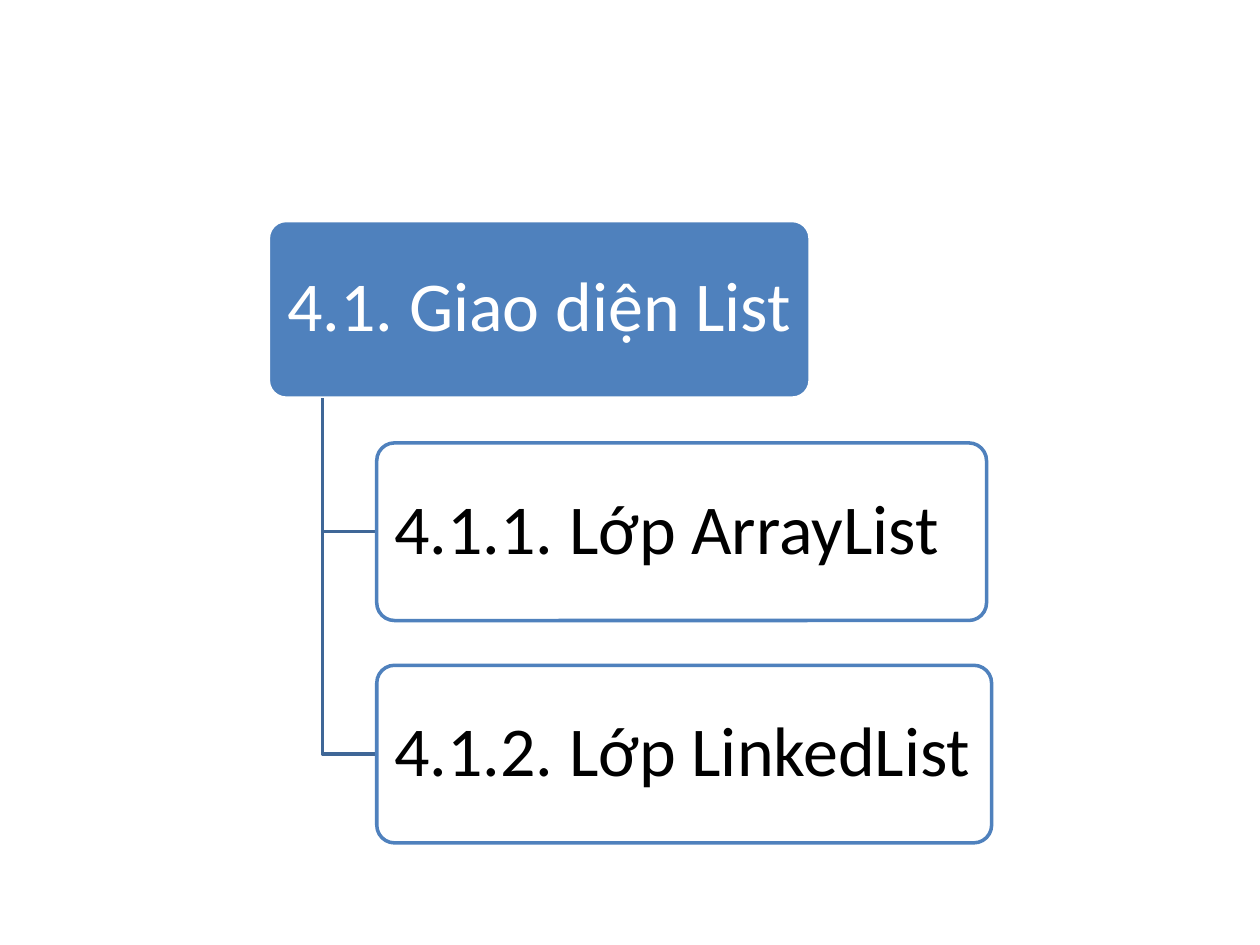
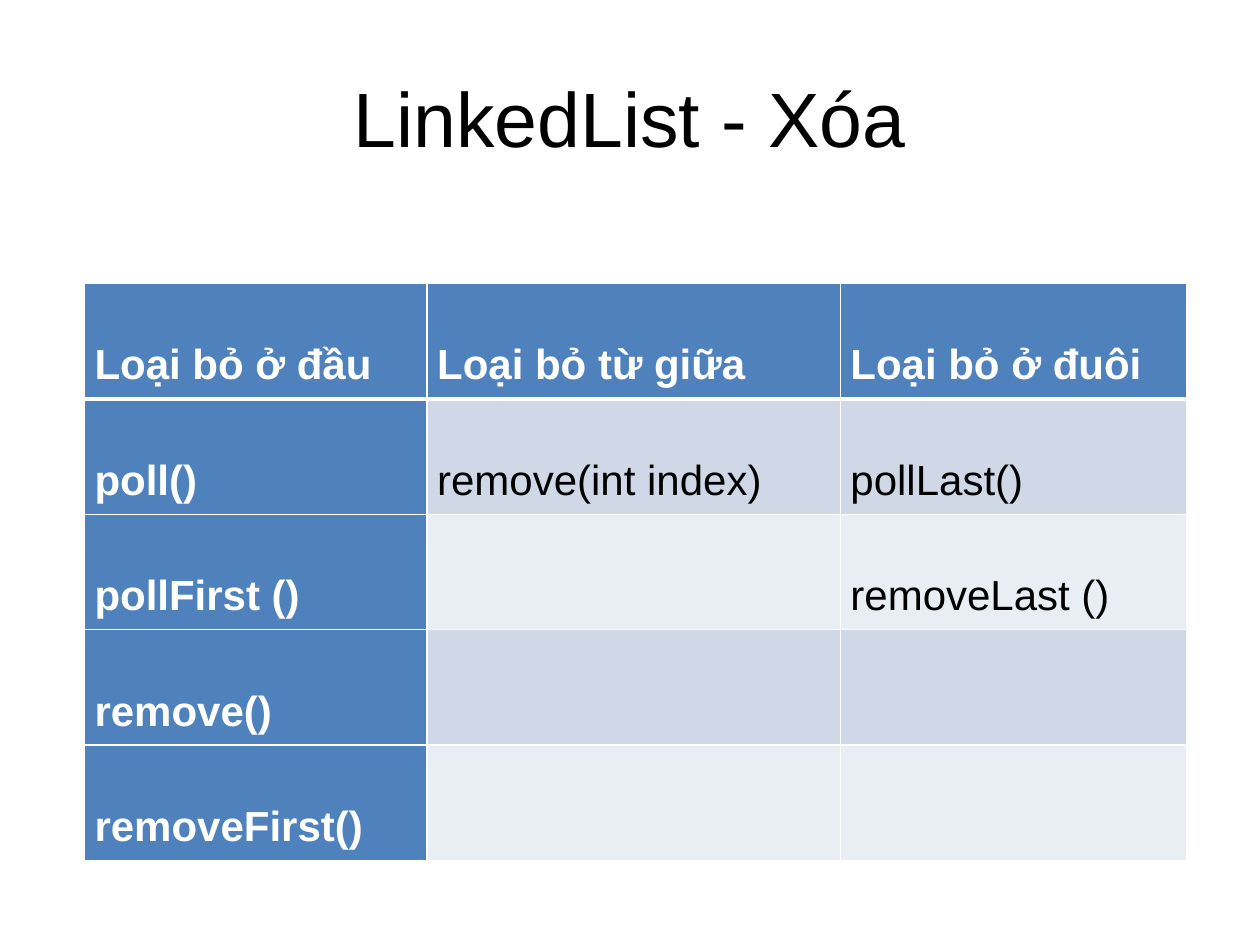
from lxml.etree import SubElement
from pptx import Presentation
from pptx.dml.color import RGBColor
from pptx.enum.shapes import MSO_SHAPE
from pptx.enum.text import MSO_ANCHOR, PP_ALIGN
from pptx.oxml.ns import qn
from pptx.util import Inches, Pt

BLUE = RGBColor(0x4F, 0x81, 0xBD)
DARK_BLUE = RGBColor(0x3F, 0x67, 0x97)
BAND_DARK = RGBColor(0xD0, 0xD8, 0xE8)
BAND_LIGHT = RGBColor(0xE9, 0xED, 0xF4)
WHITE = RGBColor(0xFF, 0xFF, 0xFF)
BLACK = RGBColor(0x00, 0x00, 0x00)


def style_paragraph(paragraph, font_name, size, color, bold=False):
    paragraph.font.name = font_name
    paragraph.font.size = Pt(size)
    paragraph.font.color.rgb = color
    paragraph.font.bold = bold


def add_cell_border(cell, side, width):
    """Draw a white border on one side: L, R, T or B."""
    line = SubElement(cell._tc.get_or_add_tcPr(), qn(f"a:ln{side}"), w=str(Pt(width)))
    fill = SubElement(line, qn("a:solidFill"))
    SubElement(fill, qn("a:srgbClr"), val=str(WHITE))


presentation = Presentation()
presentation.slide_width = Inches(10)
presentation.slide_height = Inches(7.5)
blank_layout = presentation.slide_layouts[6]

# Slide 1: section outline
slide = presentation.slides.add_slide(blank_layout)
BOX_TOP, BOX_HEIGHT, BOX_STEP = 1.75, 1.41, 1.765
TRUNK_X, CHILD_LEFT = 2.56, 2.99
outline = [
    ("4.1. Giao diện List", 2.13, 4.3, BLUE, WHITE, WHITE, PP_ALIGN.CENTER),
    ("4.1.1. Lớp ArrayList", CHILD_LEFT, 4.84, WHITE, BLUE, BLACK, PP_ALIGN.LEFT),
    ("4.1.2. Lớp LinkedList", CHILD_LEFT, 4.88, WHITE, BLUE, BLACK, PP_ALIGN.LEFT),
]
for level, (text, left, width, fill, line, color, alignment) in enumerate(outline):
    top = BOX_TOP + level * BOX_STEP
    if level > 0:
        middle = top + BOX_HEIGHT / 2
        builder = slide.shapes.build_freeform(
            Inches(TRUNK_X), Inches(BOX_TOP + BOX_HEIGHT))
        builder.add_line_segments(
            [(Inches(TRUNK_X), Inches(middle)), (Inches(CHILD_LEFT), Inches(middle))],
            close=False)
        elbow = builder.convert_to_shape()
        elbow.shadow.inherit = False
        elbow.fill.background()
        elbow.line.color.rgb = DARK_BLUE
        elbow.line.width = Pt(2)

    box = slide.shapes.add_shape(
        MSO_SHAPE.ROUNDED_RECTANGLE,
        Inches(left), Inches(top), Inches(width), Inches(BOX_HEIGHT))
    box.adjustments[0] = 0.1
    box.shadow.inherit = False
    box.fill.solid()
    box.fill.fore_color.rgb = fill
    box.line.color.rgb = line
    box.line.width = Pt(2)
    frame = box.text_frame
    frame.word_wrap = True
    frame.vertical_anchor = MSO_ANCHOR.MIDDLE
    frame.margin_left = frame.margin_right = Inches(0.1)
    frame.margin_top = frame.margin_bottom = Inches(0.1)
    paragraph = frame.paragraphs[0]
    paragraph.text = text
    paragraph.alignment = alignment
    paragraph.line_spacing = 0.9
    style_paragraph(paragraph, "Calibri", 40, color)

# Slide 2: removal methods
slide = presentation.slides.add_slide(blank_layout)
title = slide.shapes.add_textbox(Inches(0.5), Inches(0.3), Inches(9), Inches(1.25))
title.text_frame.word_wrap = True
title.text_frame.vertical_anchor = MSO_ANCHOR.MIDDLE
paragraph = title.text_frame.paragraphs[0]
paragraph.text = "LinkedList - Xóa"
paragraph.alignment = PP_ALIGN.CENTER
style_paragraph(paragraph, "Arial", 44, BLACK)

methods = [
    ("Loại bỏ ở đầu", "Loại bỏ từ giữa", "Loại bỏ ở đuôi"),
    ("poll()", "remove(int index)", "pollLast()"),
    ("pollFirst ()", "", "removeLast ()"),
    ("remove()", "", ""),
    ("removeFirst()", "", ""),
]
column_widths = [2.72, 3.28, 2.75]
table = slide.shapes.add_table(
    len(methods), len(column_widths),
    Inches(0.67), Inches(2.25), Inches(sum(column_widths)), Inches(4.58)).table
for column, width in zip(table.columns, column_widths):
    column.width = Inches(width)

for row_index, row in enumerate(methods):
    for column_index, text in enumerate(row):
        cell = table.cell(row_index, column_index)
        is_heading = row_index == 0 or column_index == 0
        border_widths = {
            "L": 1,
            "R": 1,
            "T": 3 if row_index == 1 else 1,
            "B": 3 if row_index == 0 else 1,
        }
        for side, width in border_widths.items():
            add_cell_border(cell, side, width)
        cell.fill.solid()
        band = BAND_DARK if row_index % 2 else BAND_LIGHT
        cell.fill.fore_color.rgb = BLUE if is_heading else band
        cell.vertical_anchor = MSO_ANCHOR.BOTTOM
        cell.margin_left = cell.margin_right = Inches(0.08)
        cell.margin_top = cell.margin_bottom = Inches(0.08)
        paragraph = cell.text_frame.paragraphs[0]
        paragraph.text = text
        paragraph.line_spacing = 1.15
        style_paragraph(paragraph, "Arial", 24, WHITE if is_heading else BLACK, is_heading)

presentation.save("out.pptx")
